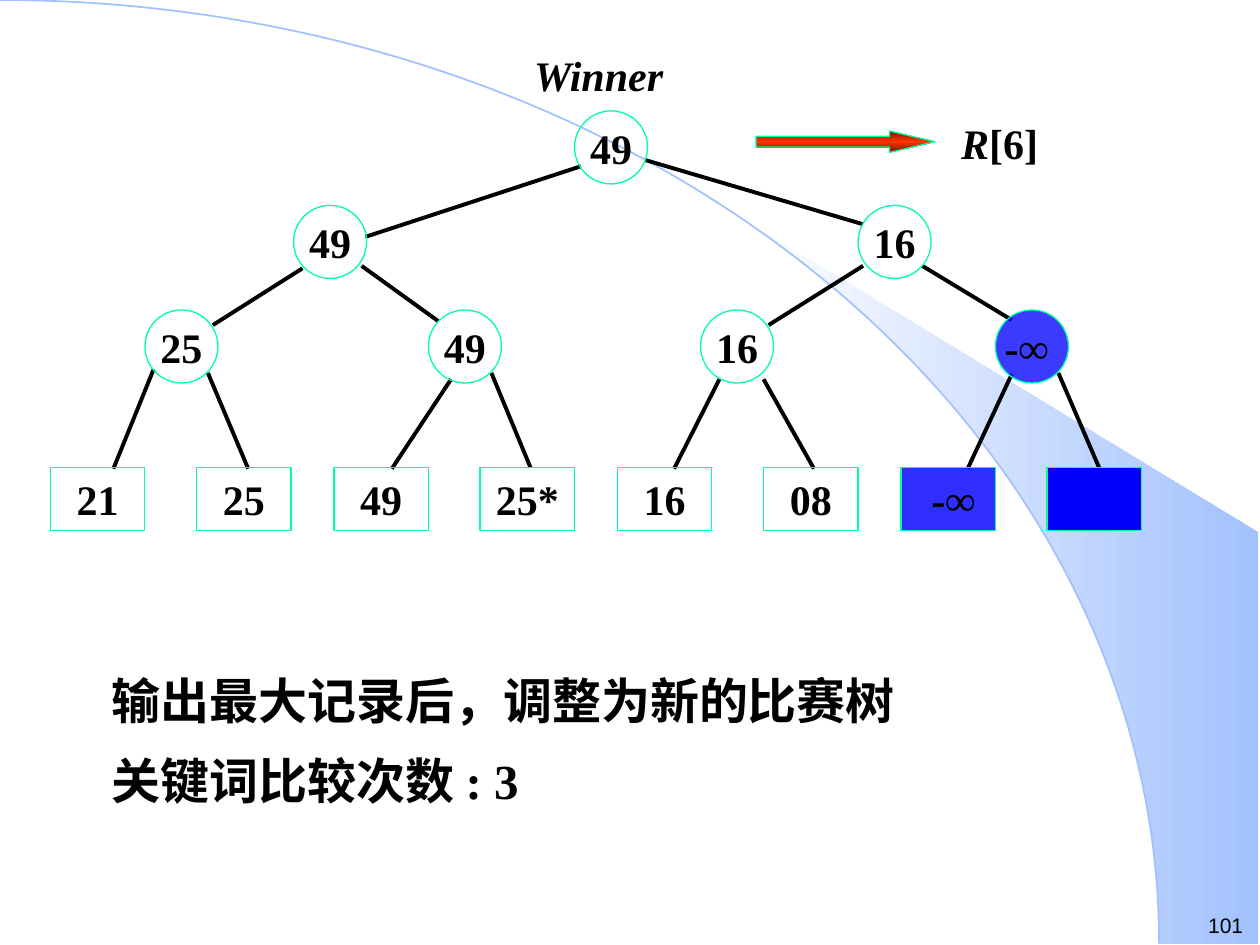
from copy import deepcopy
from math import asin, cos, pi, sin

from lxml.etree import SubElement
from pptx import Presentation
from pptx.dml.color import RGBColor
from pptx.enum.shapes import MSO_CONNECTOR, MSO_SHAPE
from pptx.enum.text import MSO_ANCHOR, PP_ALIGN
from pptx.oxml.ns import qn
from pptx.util import Inches, Pt

BLACK, BLUE, GREEN, PALE = "000000", "0000FF", "00FF9F", "A2C1FE"
SERIF = "Times New Roman"
ARC_W, ARC_H = 9.2, 7.49
NODE, LEAF_W, LEAF_H, LEAF_TOP = 0.58, 0.75, 0.5, 3.71

# left, top, text, fill opacity in percent (None: no fill)
NODES = [
    (4.56, 0.88, "49", None),
    (2.33, 1.63, "49", None),
    (6.81, 1.63, "16", None),
    (1.15, 2.46, "25", None),
    (3.4, 2.46, "49", None),
    (5.56, 2.46, "16", None),
    (7.9, 2.46, "-∞ ", 77),
]
LEAVES = [("21", None), ("25", None), ("49", None), ("25*", None),
          ("16", None), ("08", None), (" -∞", 82), ("", 100)]
EDGES = [
    (4.61, 1.32, 2.9, 1.88), (5.12, 1.27, 6.85, 1.78),
    (2.4, 2.13, 1.69, 2.58), (2.87, 2.11, 3.48, 2.55),
    (6.85, 2.11, 6.1, 2.58), (7.32, 2.11, 8.03, 2.54),
    (1.22, 2.93, 0.9, 3.72), (1.65, 2.96, 1.97, 3.72),
    (3.58, 3.01, 3.11, 3.72), (3.9, 2.96, 4.21, 3.71),
    (5.71, 3.01, 5.35, 3.72), (6.06, 3.01, 6.46, 3.72),
    (8.03, 2.97, 7.68, 3.72), (8.4, 2.96, 8.74, 3.75),
]


def rgb(color):
    return RGBColor.from_string(color)


def write(p, text, size=24, font=SERIF, bold=True, italic=False):
    r = p.add_run()
    r.text = text
    r.font.size, r.font.name = Pt(size), font
    r.font.bold, r.font.italic = bold, italic
    r.font.color.rgb = rgb(BLACK)


def add_box(s, x, y, w, h, wrap=False):
    tf = s.shapes.add_textbox(Inches(x), Inches(y), Inches(w), Inches(h)).text_frame
    tf.word_wrap = wrap
    return tf


def set_gradient(sp, colors, angle):
    """Spread the colours evenly from the first to the last stop."""
    sp.fill.gradient()
    sp.fill.gradient_angle = angle
    stops = sp.fill.gradient_stops
    gs_list = sp.fill._fill._gradFill.find(qn("a:gsLst"))
    for _ in colors[len(stops):]:
        gs_list.append(deepcopy(gs_list[0]))
    for i, (stop, color) in enumerate(zip(sp.fill.gradient_stops, colors)):
        stop.position = i / (len(colors) - 1)
        stop.color.rgb = rgb(color)


def set_line(sp, color, width):
    sp.line.color.rgb = rgb(color)
    sp.line.width = Pt(width)


def add_cell(s, kind, x, y, w, h, text, opacity):
    """Add one labelled node or leaf of the tree."""
    sp = s.shapes.add_shape(kind, Inches(x), Inches(y), Inches(w), Inches(h))
    sp.shadow.inherit = False
    set_line(sp, GREEN, 0.75)
    if opacity is None:
        sp.fill.background()
    else:
        sp.fill.solid()
        sp.fill.fore_color.rgb = rgb(BLUE)
        if opacity < 100:
            clr = sp.fill._xPr.find(qn("a:solidFill"))[0]
            SubElement(clr, qn("a:alpha")).set("val", str(opacity * 1000))
    if text:
        tf = sp.text_frame
        tf.word_wrap = False
        tf.vertical_anchor = MSO_ANCHOR.MIDDLE
        tf.paragraphs[0].alignment = PP_ALIGN.CENTER
        write(tf.paragraphs[0], text)


def add_edge(s, x1, y1, x2, y2):
    c = s.shapes.add_connector(MSO_CONNECTOR.STRAIGHT, Inches(x1), Inches(y1),
                               Inches(x2), Inches(y2))
    set_line(c, BLACK, 2.25)
    SubElement(c._element.spPr, qn("a:effectLst"))


def arc_points(start_x, steps):
    """Points on the quarter ellipse, from start_x to its lower right end."""
    t0 = asin(start_x / ARC_W)
    angles = [t0 + (pi / 2 - t0) * i / steps for i in range(steps + 1)]
    return [(ARC_W * sin(t), ARC_H * (1 - cos(t))) for t in angles]


def add_outline(s, points, close):
    pts = [(Inches(x), Inches(y)) for x, y in points]
    fb = s.shapes.build_freeform(*pts[0])
    fb.add_line_segments(pts[1:], close=close)
    sp = fb.convert_to_shape()
    sp.shadow.inherit = False
    return sp


def add_backdrop(s):
    corners = [(9.99, ARC_H), (9.99, 4.23)]
    beam = add_outline(s, arc_points(5.89, 30) + corners, True)
    set_gradient(beam, ["FFFFFF", PALE], 0)
    beam.line.fill.background()
    curve = add_outline(s, arc_points(0, 80), False)
    curve.fill.background()
    set_line(curve, PALE, 1)


def add_tree(s):
    for edge in EDGES:
        add_edge(s, *edge)
    for x, y, text, opacity in NODES:
        add_cell(s, MSO_SHAPE.OVAL, x, y, NODE, NODE, text, opacity)
    for i, (text, opacity) in enumerate(LEAVES):
        pair, side = divmod(i, 2)
        x = 0.4 + 2.25 * pair + 1.16 * side
        add_cell(s, MSO_SHAPE.RECTANGLE, x, LEAF_TOP, LEAF_W, LEAF_H, text, opacity)


def add_output_arrow(s):
    sp = s.shapes.add_shape(MSO_SHAPE.RIGHT_ARROW, Inches(6), Inches(1.04),
                            Inches(1.42), Inches(0.17))
    sp.shadow.inherit = False
    sp.adjustments[0], sp.adjustments[1] = 0.5, 2.12
    set_gradient(sp, ["761800", "FF3300", "761800"], 90)
    set_line(sp, GREEN, 0.75)


def add_labels(s):
    write(add_box(s, 4.14, 0.34, 1.32, 0.5).paragraphs[0], "Winner", italic=True)
    p = add_box(s, 7.53, 0.88, 0.81, 0.5).paragraphs[0]
    write(p, "R", italic=True)
    write(p, "[6]")
    write(add_box(s, 9.49, 7.19, 0.51, 0.3, wrap=True).paragraphs[0], "101",
          size=12, font="Arial", bold=False)


def add_summary(s):
    tf = add_box(s, 0.79, 5.11, 8.9, 1.52, wrap=True)
    for i, text in enumerate(["输出最大记录后，调整为新的比赛树", "关键词比较次数 : 3"]):
        p = tf.add_paragraph() if i else tf.paragraphs[0]
        p.alignment = PP_ALIGN.JUSTIFY
        p.line_spacing = 1.35
        pPr = p._p.get_or_add_pPr()
        pPr.set("marL", str(Inches(0.38)))
        pPr.set("indent", str(-Inches(0.38)))
        write(p, text, size=28)


def main():
    prs = Presentation()
    prs.slide_width, prs.slide_height = Inches(10), Inches(7.5)
    s = prs.slides.add_slide(prs.slide_layouts[6])
    add_backdrop(s)
    add_summary(s)
    add_tree(s)
    add_output_arrow(s)
    add_labels(s)
    prs.save("out.pptx")


if __name__ == "__main__":
    main()
